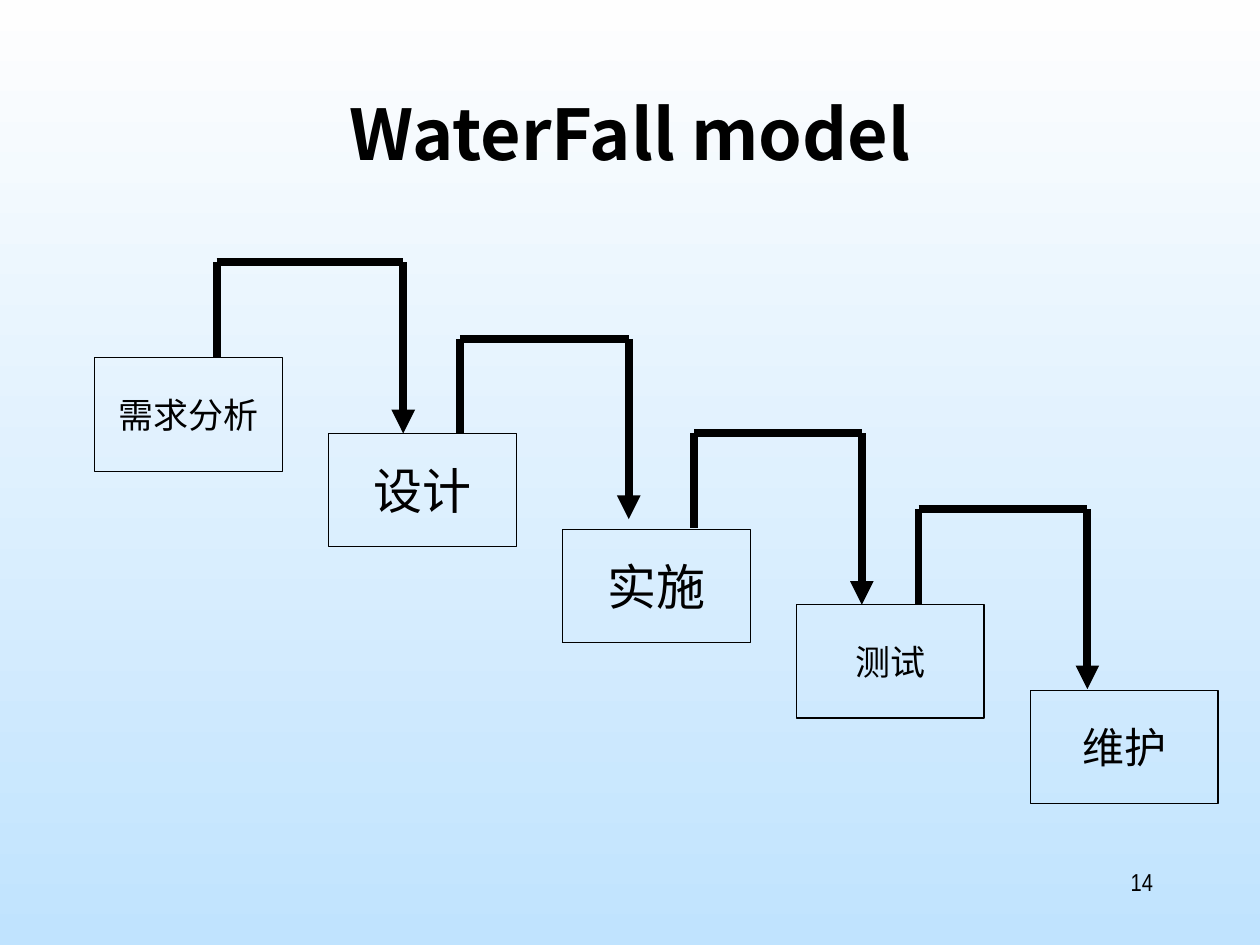
from typing import NamedTuple

from lxml.etree import SubElement
from pptx import Presentation
from pptx.dml.color import RGBColor
from pptx.enum.shapes import MSO_CONNECTOR, MSO_SHAPE
from pptx.enum.text import MSO_ANCHOR, PP_ALIGN
from pptx.oxml.ns import qn
from pptx.util import Inches, Pt

BLACK = RGBColor(0x00, 0x00, 0x00)
SKY_TOP = RGBColor(0xFE, 0xFE, 0xFE)
SKY_BOTTOM = RGBColor(0xC0, 0xE3, 0xFE)

STAGE_LEFT, STAGE_STEP = 0.75, 1.857
STAGE_WIDTH, STAGE_HEIGHT = 1.49, 0.9


class Stage(NamedTuple):
    label: str
    top: float
    size: int


class Flow(NamedTuple):
    """Path that rises from one stage, runs right and drops to the next."""
    left: float
    right: float
    start: float
    peak: float
    end: float


STAGES = [
    Stage("需求分析", 2.84, 20),
    Stage("设计", 3.44, 28),
    Stage("实施", 4.2, 28),
    Stage("测试", 4.8, 20),
    Stage("维护", 5.48, 24),
]
FLOWS = [
    Flow(1.72, 3.2, 2.84, 2.08, 3.44),
    Flow(3.65, 4.99, 3.44, 2.69, 4.12),
    Flow(5.51, 6.84, 4.19, 3.44, 4.8),
    Flow(7.29, 8.63, 4.8, 4.04, 5.47),
]


def write_text(box, text: str, font_name: str, size: int, align: PP_ALIGN,
               bold: bool = False) -> None:
    box.text_frame.word_wrap = True
    para = box.text_frame.paragraphs[0]
    para.text = text
    para.alignment = align
    para.font.name = font_name
    para.font.size = Pt(size)
    para.font.bold = bold
    para.font.color.rgb = BLACK


def add_line(slide, start: tuple[float, float], end: tuple[float, float],
             width: float, arrow: bool = False) -> None:
    line = slide.shapes.add_connector(
        MSO_CONNECTOR.STRAIGHT, *map(Inches, start + end))
    line.line.color.rgb = BLACK
    line.line.width = Pt(width)
    properties = line._element.spPr
    if arrow:
        SubElement(properties.find(qn("a:ln")), qn("a:tailEnd"), type="triangle")
    SubElement(properties, qn("a:effectLst"))


def add_stage(slide, stage: Stage, left: float) -> None:
    box = slide.shapes.add_shape(
        MSO_SHAPE.RECTANGLE,
        *map(Inches, (left, stage.top, STAGE_WIDTH, STAGE_HEIGHT)))
    box.shadow.inherit = False
    box.fill.background()
    box.line.color.rgb = BLACK
    box.line.width = Pt(0.75)
    box.text_frame.vertical_anchor = MSO_ANCHOR.MIDDLE
    write_text(box, stage.label, "Arial", stage.size, PP_ALIGN.CENTER)


def add_flow(slide, flow: Flow) -> None:
    points = [(flow.left, flow.start), (flow.left, flow.peak),
              (flow.right, flow.peak), (flow.right, flow.end)]
    for start, end in zip(points, points[1:]):
        add_line(slide, start, end, 4.5, arrow=end == points[-1])


def main() -> None:
    deck = Presentation()
    deck.slide_width, deck.slide_height = Inches(10), Inches(7.5)
    slide = deck.slides.add_slide(deck.slide_layouts[6])

    backdrop = slide.background.fill
    backdrop.gradient()
    backdrop.gradient_angle = 270
    for stop, color in zip(backdrop.gradient_stops, (SKY_TOP, SKY_BOTTOM)):
        stop.color.rgb = color

    title = slide.shapes.add_textbox(
        Inches(0.75), Inches(0.67), Inches(8.5), Inches(1.25))
    write_text(title, "WaterFall model", "Noto Sans CJK SC", 40,
               PP_ALIGN.CENTER, bold=True)

    for index, stage in enumerate(STAGES):
        add_stage(slide, stage, STAGE_LEFT + index * STAGE_STEP)
    add_line(slide, (4.46, 5.1), (5.95, 5.1), 0.75)
    for flow in FLOWS:
        add_flow(slide, flow)

    page_number = slide.shapes.add_textbox(
        Inches(7.17), Inches(6.83), Inches(2.08), Inches(0.5))
    write_text(page_number, "14", "Arial Narrow", 14, PP_ALIGN.RIGHT)

    deck.save("out.pptx")


if __name__ == "__main__":
    main()
